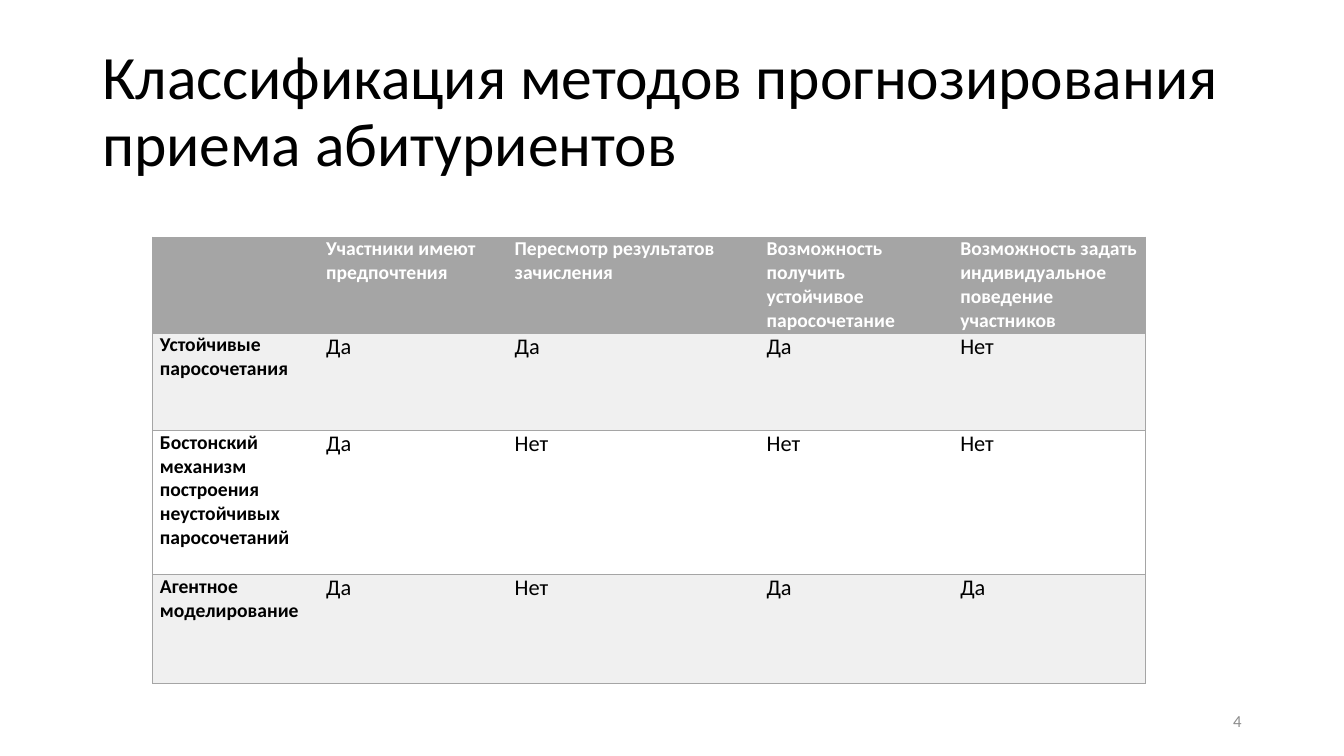
"""Builds a slide that compares methods of forecasting student admission."""
from pptx import Presentation
from pptx import util as u
from pptx.dml.color import RGBColor
from pptx.enum import text
from pptx.oxml import parse_xml
from pptx.oxml.ns import nsdecls

COLORS = {"ink": "000000", "paper": "FFFFFF", "gray": "A5A5A5",
          "band": "F0F0F0", "number": "8C8C8C"}
FONT = "Calibri"
COLUMN_WIDTHS = [4.19, 4.75, 6.35, 4.88, 4.85]
ROW_HEIGHTS = [2.41, 2.46, 3.63, 2.74]
ROWS = [
    ["", "Участники имеют предпочтения", "Пересмотр результатов зачисления",
     "Возможность получить устойчивое паросочетание",
     "Возможность задать индивидуальное поведение участников"],
    ["Устойчивые паросочетания", "Да", "Да", "Да", "Нет"],
    ["Бостонский механизм построения неустойчивых паросочетаний",
     "Да", "Нет", "Нет", "Нет"],
    ["Агентное моделирование", "Да", "Нет", "Да", "Да"],
]


def write(frame, words, size, color, bold=False):
    """Put one formatted paragraph into a text frame and return it."""
    frame.text = words
    para = frame.paragraphs[0]
    for span in para.runs:
        span.font.name = FONT
        span.font.size = u.Pt(size)
        span.font.bold = bold
        span.font.color.rgb = RGBColor.from_string(COLORS[color])
    return para


def add_text(page, place, words, size, color):
    """Add a wrapped, vertically centred text box and return its paragraph."""
    box = page.shapes.add_textbox(*map(u.Cm, place))
    frame = box.text_frame
    frame.word_wrap = True
    frame.vertical_anchor = text.MSO_ANCHOR.MIDDLE
    return write(frame, words, size, color)


def set_borders(cell, visible):
    """Draw thin gray lines on the visible sides and none on the others."""
    properties = cell._tc.get_or_add_tcPr()
    for index, side in enumerate("LRTB"):
        paint = "<a:noFill/>"
        if side in visible:
            paint = f'<a:solidFill><a:srgbClr val="{COLORS["gray"]}"/></a:solidFill>'
        line = f'<a:ln{side} {nsdecls("a")} w="12700">{paint}</a:ln{side}>'
        properties.insert(index, parse_xml(line))


def fill_cell(cell, words, row, column):
    """Write and style one cell according to its row and column."""
    cell.margin_left = cell.margin_right = u.Cm(0.18)
    cell.margin_top = cell.margin_bottom = 0
    header = row == 0
    bold = header or column == 0
    write(cell.text_frame, words, 14 if bold else 16,
          "paper" if header else "ink", bold)
    fill = "gray" if header else "band" if row % 2 else "paper"
    cell.fill.solid()
    cell.fill.fore_color.rgb = RGBColor.from_string(COLORS[fill])
    sides = {0: "LTB", len(COLUMN_WIDTHS) - 1: "RTB"}
    set_borders(cell, sides.get(column, "TB"))


def add_grid(page, left, top):
    """Add the comparison table."""
    frame = page.shapes.add_table(
        len(ROWS), len(COLUMN_WIDTHS), u.Cm(left), u.Cm(top),
        u.Cm(sum(COLUMN_WIDTHS)), u.Cm(sum(ROW_HEIGHTS)))
    table = frame.table
    for column, width in zip(table.columns, COLUMN_WIDTHS):
        column.width = u.Cm(width)
    for row, height in zip(table.rows, ROW_HEIGHTS):
        row.height = u.Cm(height)
    for row, entries in enumerate(ROWS):
        for column, words in enumerate(entries):
            fill_cell(table.cell(row, column), words, row, column)


def main():
    """Build and save the deck."""
    deck = Presentation()
    deck.slide_width, deck.slide_height = u.Cm(33.87), u.Cm(19.05)
    page = deck.slides.add_slide(deck.slide_layouts[6])
    title = add_text(page, (2.33, 1.01, 29.21, 3.68),
                     "Классификация методов прогнозирования приема абитуриентов",
                     44, "ink")
    title.line_spacing = 0.9
    add_grid(page, 3.85, 5.98)
    number = add_text(page, (23.92, 17.66, 7.62, 1.01), "4", 12, "number")
    number.alignment = text.PP_ALIGN.RIGHT
    deck.save("out.pptx")


if __name__ == "__main__":
    main()
